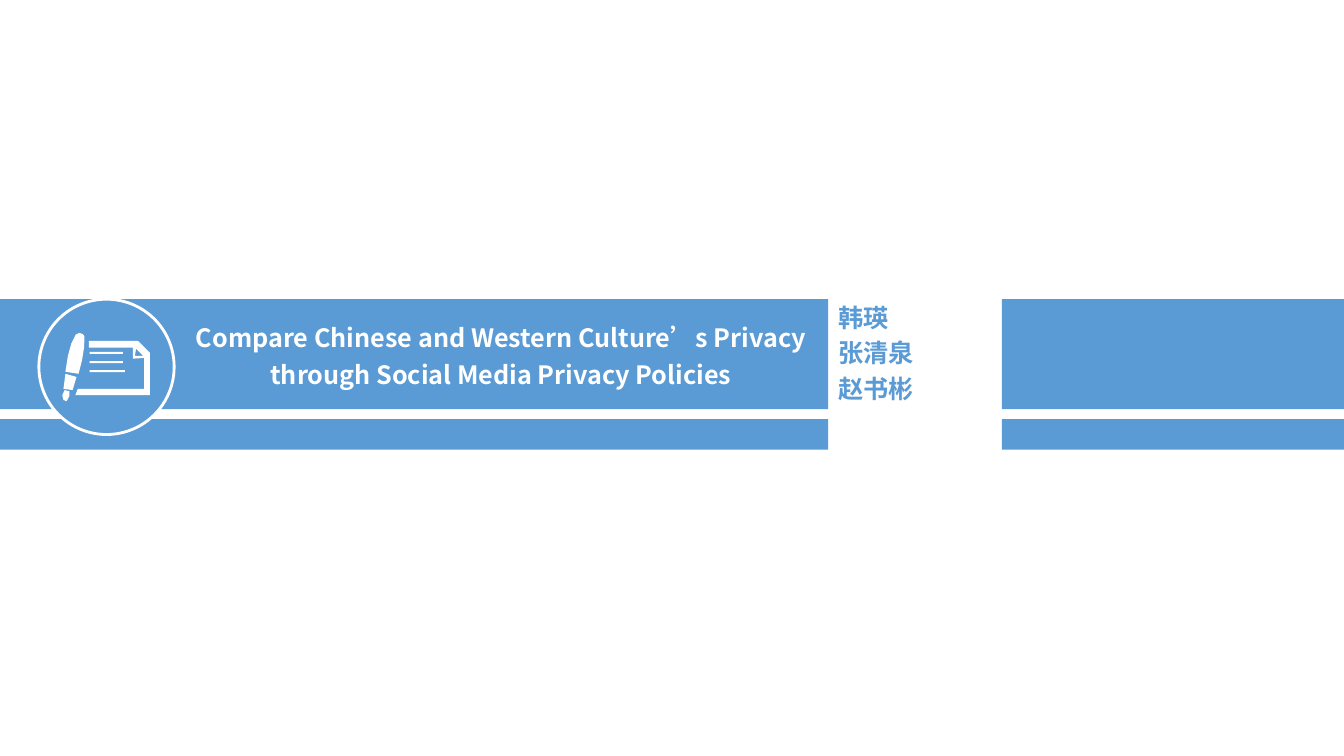
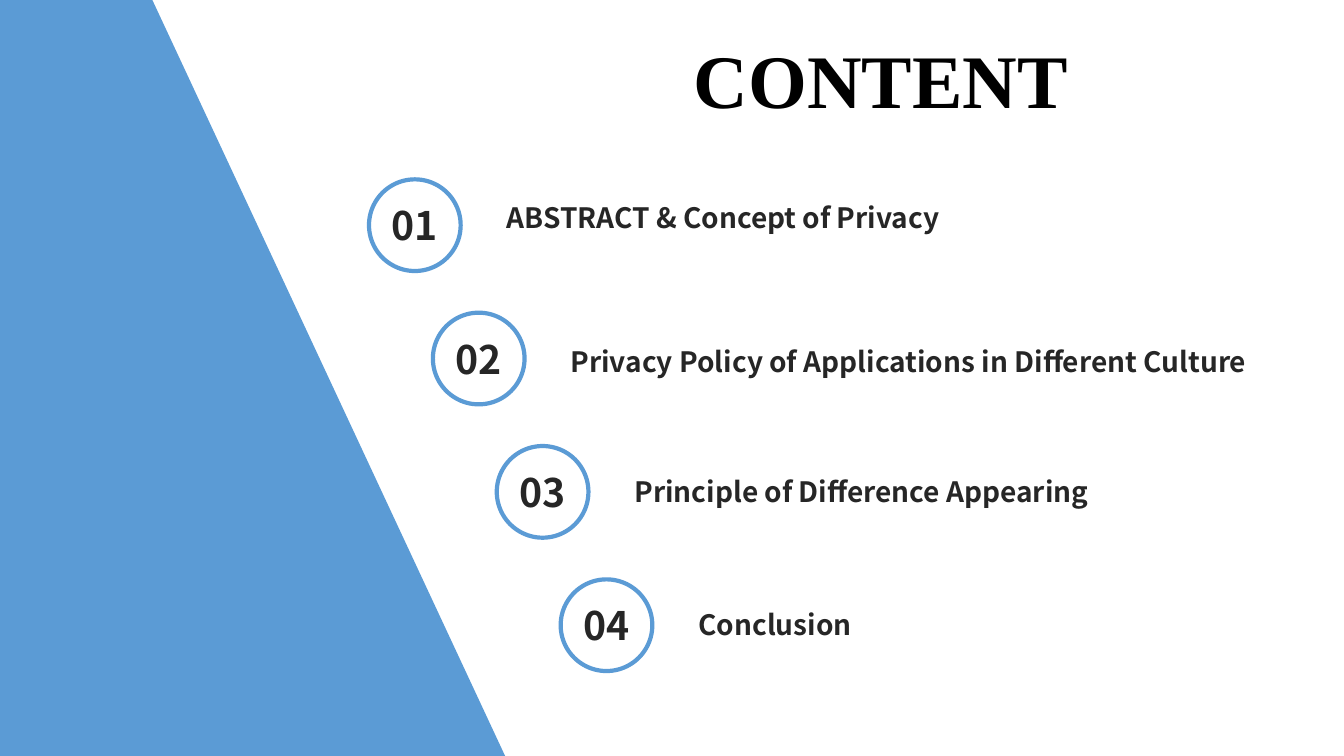
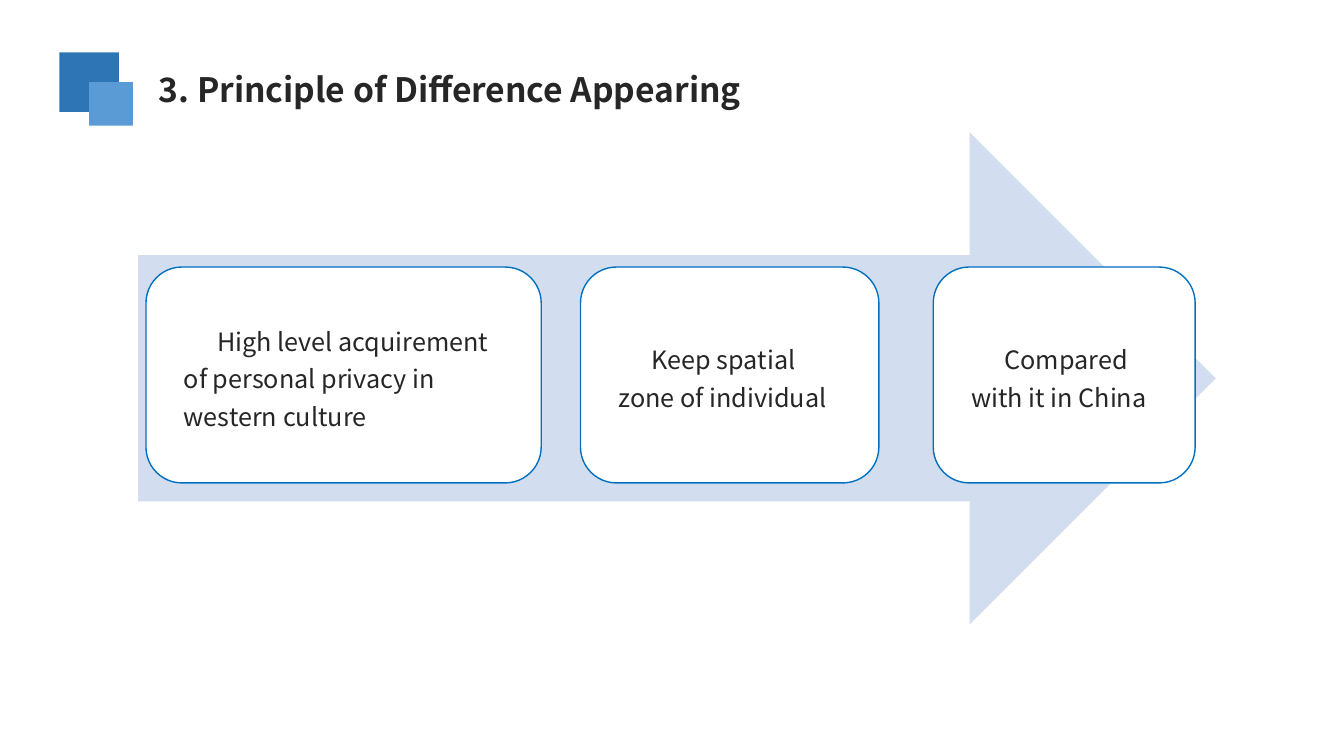
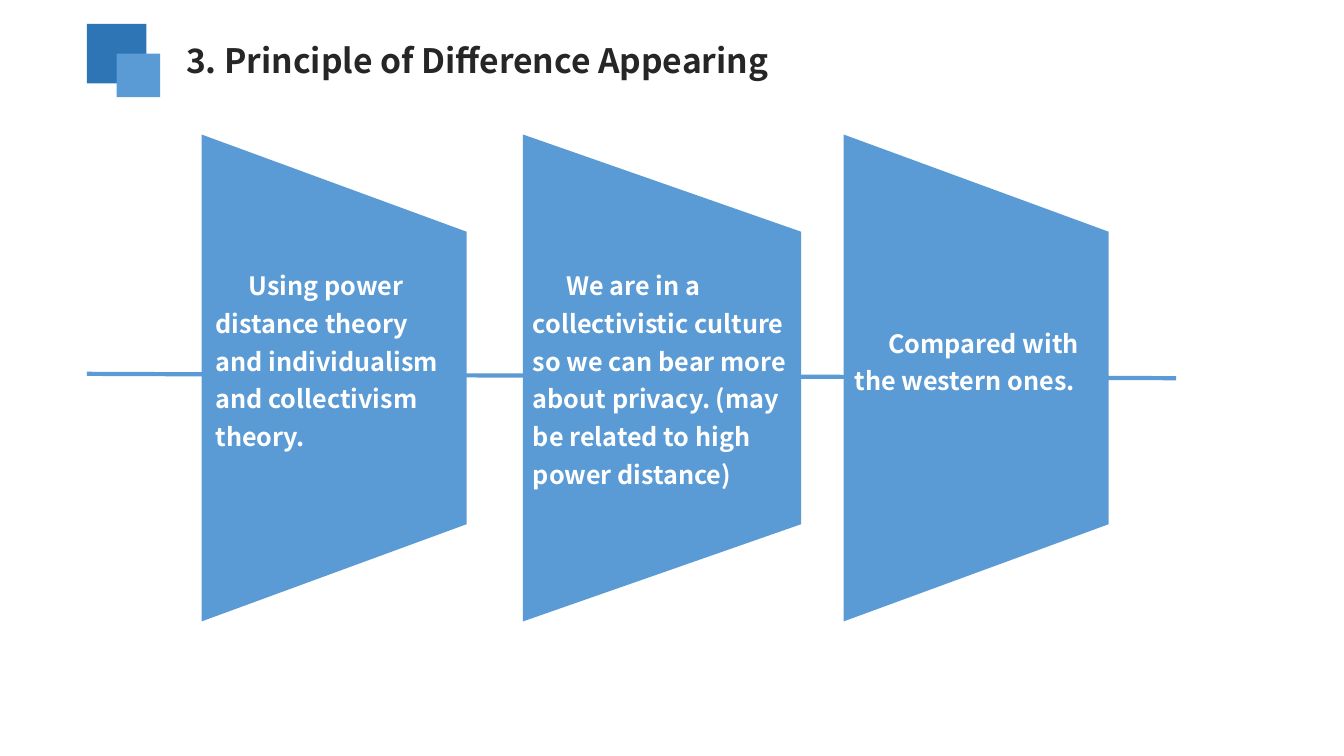
import pptx
import pptx.dml.color
import pptx.enum.shapes
import pptx.enum.text
import pptx.oxml.ns
import pptx.util
from lxml import etree
from pptx.util import Cm

SHAPE = pptx.enum.shapes.MSO_SHAPE
ALIGN = pptx.enum.text.PP_ALIGN
ANCHOR = pptx.enum.text.MSO_ANCHOR
qn = pptx.oxml.ns.qn

SANS = "Noto Sans CJK SC"
SERIF = "Times New Roman"
BLUE = "5B9BD5"
DEEP_BLUE = "2E75B6"
BORDER_BLUE = "0070C0"
PALE_BLUE = "D2DEEF"
WHITE = "FFFFFF"
INK = "262626"
BLACK = "000000"

WIDTH, HEIGHT = 33.87, 19.05
BODY = {"size": 18, "indent": 0.84, "spacing": 1.25}


def color(value):
    return pptx.dml.color.RGBColor.from_string(value)


def paint(shape, fill, line=None, weight=1):
    shape.shadow.inherit = False
    shape.fill.solid()
    shape.fill.fore_color.rgb = color(fill)
    if line:
        shape.line.color.rgb = color(line)
        shape.line.width = pptx.util.Pt(weight)
    else:
        shape.line.fill.background()
    return shape


def add_preset(page, kind, left, top, width, height, fill, **outline):
    shape = page.shapes.add_shape(kind, Cm(left), Cm(top), Cm(width), Cm(height))
    return paint(shape, fill, **outline)


def add_outline(page, contours, fill):
    builder = None
    for contour in contours:
        points = [(Cm(x), Cm(y)) for x, y in contour]
        if builder is None:
            builder = page.shapes.build_freeform(*points[0])
        else:
            builder.move_to(*points[0])
        builder.add_line_segments(points[1:], close=True)
    return paint(builder.convert_to_shape(), fill)


def write(shape, text, size=18, font=SANS, ink=INK, bold=False, align=ALIGN.LEFT,
          anchor=ANCHOR.TOP, spacing=None, indent=0, inset=None):
    frame = shape.text_frame
    frame.word_wrap = True
    frame.vertical_anchor = anchor
    if inset is not None:
        frame.margin_left = frame.margin_right = Cm(inset)
        frame.margin_top = frame.margin_bottom = Cm(inset)
    para = frame.paragraphs[0]
    para.alignment = align
    if spacing:
        para.line_spacing = spacing
    if indent:
        para._p.get_or_add_pPr().set("indent", str(Cm(indent)))
    span = para.add_run()
    span.text = text
    span.font.size = pptx.util.Pt(size)
    span.font.bold = bold
    span.font.name = font
    span.font.color.rgb = color(ink)
    east_asian = etree.SubElement(span._r.get_or_add_rPr(), qn("a:ea"))
    east_asian.set("typeface", font)


def add_text(page, text, left, top, width, height, **style):
    box = page.shapes.add_textbox(Cm(left), Cm(top), Cm(width), Cm(height))
    write(box, text, **style)


def add_line(page, start, end, ink, weight):
    line = page.shapes.add_connector(
        pptx.enum.shapes.MSO_CONNECTOR.STRAIGHT,
        Cm(start[0]), Cm(start[1]), Cm(end[0]), Cm(end[1]))
    line.line.color.rgb = color(ink)
    line.line.width = pptx.util.Pt(weight)
    etree.SubElement(line._element.spPr, qn("a:effectLst"))


def add_heading(page, text, left, top):
    add_preset(page, SHAPE.RECTANGLE, left, top, 1.5, 1.5, DEEP_BLUE)
    add_preset(page, SHAPE.RECTANGLE, left + 0.75, top + 0.75, 1.1, 1.1, BLUE)
    add_text(page, text, left + 2.25, top + 0.28, 19.76, 1.27, size=24, bold=True)


def add_writing_icon(page):
    pen = [(1.91, 8.43), (2, 8.39), (2.09, 8.42), (2.13, 8.48), (2.12, 8.75),
           (2.07, 9.07), (1.98, 9.42), (1.65, 9.37), (1.71, 8.98), (1.8, 8.65)]
    ferrule = [(1.65, 9.42), (1.6, 9.8), (1.83, 9.83), (1.93, 9.5)]
    nib = [(1.63, 9.83), (1.75, 9.86), (1.75, 9.98), (1.68, 10.11),
           (1.6, 10.08), (1.57, 9.96)]
    sheet = [(1.96, 9.8), (1.9, 9.96), (3.78, 9.96), (3.78, 8.89), (3.48, 8.59),
             (2.24, 8.59), (2.24, 8.76), (3.35, 8.76), (3.35, 9.04),
             (3.63, 9.02), (3.63, 9.8)]
    fold = [(3.61, 8.97), (3.4, 8.97), (3.43, 8.79)]
    rules = []
    for row, right in enumerate((3.1, 3.1, 3.15)):
        top = 8.87 + 0.23 * row
        rules.append([(2.26, top), (right, top), (right, top + 0.05), (2.26, top + 0.05)])
    add_outline(page, [pen, ferrule, nib, sheet, fold, *rules], WHITE)


def build_cover(page):
    for row, name in enumerate(("韩瑛", "张清泉", "赵书彬")):
        add_text(page, name, 20.87, 7.49 + 0.89 * row, 7.14, 1.02, ink=BLUE, bold=True)
    for left, width in ((0, 20.87), (25.25, WIDTH - 25.25)):
        add_preset(page, SHAPE.RECTANGLE, left, 7.54, width, 2.77, BLUE)
        add_preset(page, SHAPE.RECTANGLE, left, 10.56, width, 0.77, BLUE)
    add_text(page, "Compare Chinese and Western Culture’s Privacy through Social Media Privacy Policies",
             4.14, 7.8, 16.97, 2.08, ink=WHITE, bold=True, align=ALIGN.CENTER, spacing=1.25)
    add_preset(page, SHAPE.OVAL, 0.98, 7.54, 3.41, 3.41, BLUE, line=WHITE, weight=2)
    add_writing_icon(page)


def build_contents(page):
    add_outline(page, [[(0, 0), (3.84, 0), (12.73, HEIGHT), (0, HEIGHT)]], BLUE)
    entries = (("ABSTRACT & Concept of Privacy", 4.93),
               ("Privacy Policy of Applications in Different Culture", 8.56),
               ("Principle of Difference Appearing", 11.84),
               ("Conclusion", 15.19))
    for row, (label, label_top) in enumerate(entries):
        shift = 1.61 * row
        circle = add_preset(page, SHAPE.OVAL, 9.3 + shift, 4.52 + 3.36 * row, 2.31, 2.31,
                            WHITE, line=BLUE, weight=3)
        write(circle, f"{row + 1:02}", size=28, bold=True, align=ALIGN.CENTER,
              anchor=ANCHOR.MIDDLE, inset=0)
        add_text(page, label, 12.52 + shift, label_top, 19.43 - shift, 1.12,
                 size=20, bold=True)
    add_text(page, "CONTENT", 16.36, 0.71, 11.68, 2.57, size=54, font=SERIF,
             ink=BLACK, bold=True, align=ALIGN.CENTER)


def build_steps(page, heading):
    add_heading(page, heading, 1.5, 1.32)
    add_preset(page, SHAPE.RIGHT_ARROW, 3.48, 3.33, 27.16, 12.41, PALE_BLUE)
    steps = (("High level acquirement of personal privacy in western culture", 3.68, 9.96),
             ("Keep spatial zone of individual", 14.63, 7.52),
             ("Compared with it in China", 23.52, 6.6))
    for text, left, width in steps:
        card = add_preset(page, SHAPE.ROUNDED_RECTANGLE, left, 6.73, width, 5.44,
                          WHITE, line=BORDER_BLUE)
        write(card, text, anchor=ANCHOR.MIDDLE, inset=0.69, **BODY)


def build_panels(page, heading):
    add_heading(page, heading, 2.19, 0.6)
    add_line(page, (2.19, 9.42), (29.64, 9.53), BLUE, 3)
    panels = (("Using power distance theory and individualism and collectivism theory.",
               5.08, 6.68, 5.18, 6.5, 6.63),
              ("We are in a collectivistic culture so we can bear more about privacy. "
               "(may be related to high power distance)",
               13.18, 7.01, 13.18, 6.5, 7.34),
              ("Compared with the western ones.", 21.26, 6.68, 21.29, 7.95, 6.63))
    top, bottom, slope = 3.39, 15.66, 2.45
    for text, left, width, text_left, text_top, text_width in panels:
        right = left + width
        add_outline(page, [[(left, bottom), (left, top), (right, top + slope),
                            (right, bottom - slope)]], BLUE)
        add_text(page, text, text_left, text_top, text_width, 5, ink=WHITE, bold=True, **BODY)


def main():
    deck = pptx.Presentation()
    deck.slide_width = Cm(WIDTH)
    deck.slide_height = Cm(HEIGHT)
    cover, contents, steps, panels = [
        deck.slides.add_slide(deck.slide_layouts[6]) for _ in range(4)]
    heading = "3. Principle of Difference Appearing"
    build_cover(cover)
    build_contents(contents)
    build_steps(steps, heading)
    build_panels(panels, heading)
    deck.save("out.pptx")


if __name__ == "__main__":
    main()
